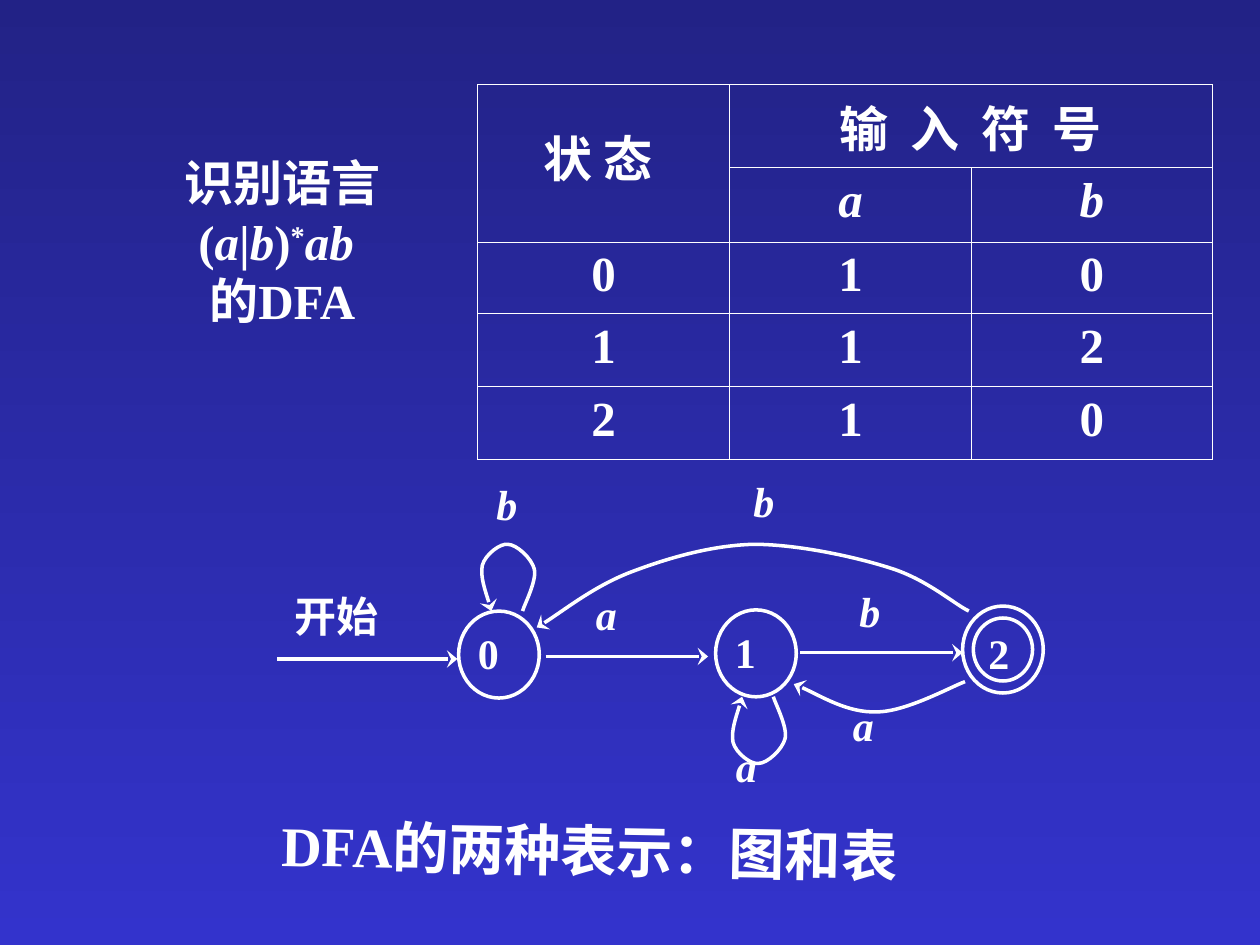
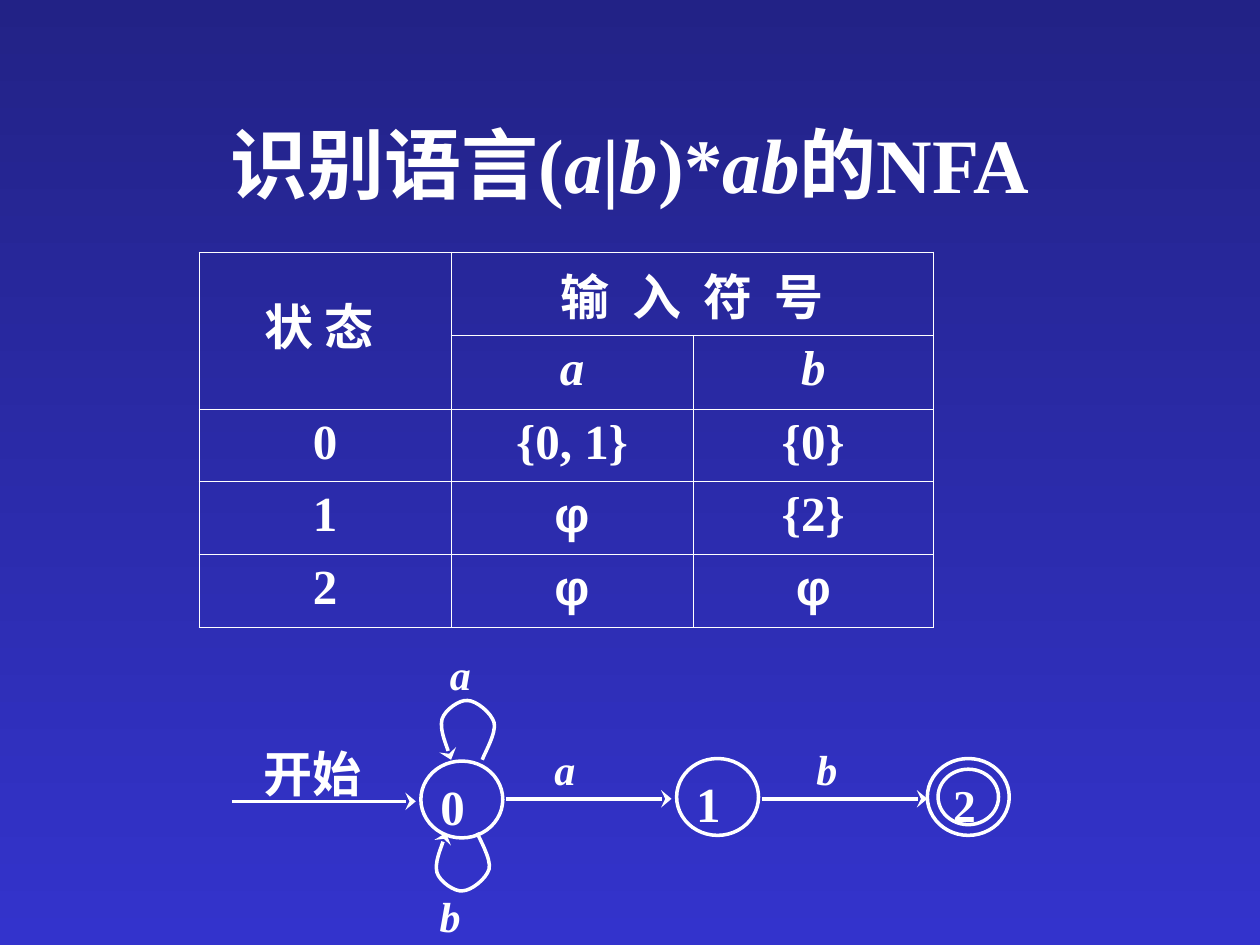
from lxml.etree import SubElement
from pptx import Presentation
from pptx.dml.color import RGBColor
from pptx.enum.shapes import MSO_CONNECTOR, MSO_SHAPE
from pptx.enum.text import MSO_ANCHOR as ANCHOR, PP_ALIGN as ALIGN
from pptx.oxml.ns import qn
from pptx.util import Inches, Pt

COLORS = {"sky": "222286", "ground": "3333CC", "ink": "FFFFFF"}
LATIN, CHINESE = "Times New Roman", "Noto Sans CJK SC"
LABEL_INSETS = (0.06, 0.03, 0.06, 0.03)
STATE_INSETS = (0.06, 0.03, 0.02, 0.05)
FINAL_INSETS = (0.05, 0, 0.01, 0)
COLUMN_WIDTHS = (2, 1.92, 1.91)
ROW_HEIGHTS = (0.66, 0.59, 0.57, 0.58, 0.58)

# Self-loop above a state, as fractions of its box: a start point, then
# Bézier triples (two handles and an end point).
LOOP = [(0.75, 1), (0.78, 0.91), (1, 0.56), (0.96, 0.39),
        (0.91, 0.22), (0.64, 0.02), (0.49, 0.02),
        (0.36, 0), (0.09, 0.17), (0.04, 0.33),
        (0, 0.5), (0.16, 0.87), (0.2, 1)]
LOOP_WIDTH = 0.45


def color(name):
    return RGBColor.from_string(COLORS[name])


def format_run(run, size, style="", font=LATIN):
    run.font.size = Pt(size)
    run.font.bold = True
    run.font.italic = style == "italic"
    run.font.color.rgb = color("ink")
    run.font.name = font
    properties = run.font._element
    SubElement(properties, qn("a:ea")).set("typeface", CHINESE)
    if style == "superscript":
        properties.set("baseline", "30000")


def write_runs(paragraph, pieces, size):
    """Fill a paragraph from (text, style) pairs."""
    paragraph.alignment = ALIGN.CENTER
    for text, style in pieces:
        run = paragraph.add_run()
        run.text = text
        format_run(run, size, style)


def write_text(frame, text, size, style="", font=LATIN, align=ALIGN.LEFT):
    frame.text = text
    paragraph = frame.paragraphs[0]
    paragraph.alignment = align
    format_run(paragraph.runs[0], size, style, font)


def set_frame(frame, insets, anchor=ANCHOR.TOP):
    frame.word_wrap = True
    frame.vertical_anchor = anchor
    (frame.margin_left, frame.margin_top,
     frame.margin_right, frame.margin_bottom) = map(Inches, insets)


def add_text_box(shapes, box, insets=LABEL_INSETS, anchor=ANCHOR.TOP):
    text_box = shapes.add_textbox(*map(Inches, box))
    set_frame(text_box.text_frame, insets, anchor)
    return text_box


def draw_outline(shape, arrow=False):
    shape.line.color.rgb = color("ink")
    shape.line.width = Pt(2)
    if arrow:
        SubElement(shape.line._ln, qn("a:tailEnd"), type="stealth", w="lg")


def bend_segments(shape):
    """Turn each three straight segments of an outline into one Bézier curve."""
    segments = list(shape._element.iter(qn("a:lnTo")))
    outline = segments[0].getparent()
    for first in range(0, len(segments), 3):
        curve = SubElement(outline, qn("a:cubicBezTo"))
        for segment in segments[first:first + 3]:
            curve.append(segment[0])
            outline.remove(segment)


class StateDiagram:
    """Draws an automaton in one group, relative to its top left corner."""

    def __init__(self, slide, left, top, state_size, text_size):
        self.shapes = slide.shapes.add_group_shape().shapes
        self.left, self.top = left, top
        self.state_size, self.text_size = state_size, text_size

    def at(self, x, y):
        return Inches(self.left + x), Inches(self.top + y)

    def circle(self, x, y, size, text="", text_size=24, insets=STATE_INSETS):
        shape = self.shapes.add_shape(MSO_SHAPE.OVAL, *self.at(x, y),
                                      *map(Inches, size))
        shape.shadow.inherit = False
        shape.fill.background()
        draw_outline(shape)
        if text:
            set_frame(shape.text_frame, insets)
            write_text(shape.text_frame, text, text_size)

    def state(self, x, y, name):
        self.circle(x, y, self.state_size, name, self.text_size)

    def final_state(self, x, y, name, inner_size, text_size):
        self.circle(x, y, self.state_size)
        width, height = inner_size
        self.circle(x + (self.state_size[0] - width) / 2,
                    y + (self.state_size[1] - height) / 2,
                    inner_size, name, text_size, FINAL_INSETS)

    def arrow(self, x, y, length):
        connector = self.shapes.add_connector(
            MSO_CONNECTOR.STRAIGHT, *self.at(x, y), *self.at(x + length, y))
        SubElement(connector._element.spPr, qn("a:effectLst"))
        draw_outline(connector, arrow=True)

    def curve(self, points):
        start, *rest = [self.at(*point) for point in points]
        builder = self.shapes.build_freeform(*start)
        builder.add_line_segments(rest, close=False)
        shape = builder.convert_to_shape()
        bend_segments(shape)
        shape.shadow.inherit = False
        shape.fill.background()
        draw_outline(shape, arrow=True)

    def loop(self, x, y, height, below=False):
        self.curve([(x + LOOP_WIDTH * u, y + height * (1 - v if below else v))
                    for u, v in LOOP])

    def symbol(self, x, y, text):
        text_box = add_text_box(
            self.shapes, (self.left + x, self.top + y, 0.52, 0.52))
        write_text(text_box.text_frame, text, 24, "italic")

    def start(self, x, y, arrow_y, arrow_length):
        text_box = add_text_box(
            self.shapes, (self.left + x, self.top + y, 1.05, 0.6))
        write_text(text_box.text_frame, "开始", self.text_size)
        self.arrow(0, arrow_y, arrow_length)


def draw_dfa(slide, left, top):
    diagram = StateDiagram(slide, left, top, (0.64, 0.69), 24)
    diagram.start(0.08, 0.92, 1.49, 1.43)
    diagram.state(1.44, 1.11, "0")
    diagram.state(3.48, 1.1, "1")
    diagram.final_state(5.44, 1.07, "2", (0.47, 0.5), 24)
    diagram.arrow(2.13, 1.47, 1.29)
    diagram.arrow(4.15, 1.44, 1.29)
    diagram.loop(1.61, 0.57, 0.54)
    diagram.loop(3.6, 1.79, 0.54, below=True)
    diagram.curve([(5.46, 1.67), (5.35, 1.71), (4.99, 1.91), (4.76, 1.91),
                   (4.53, 1.92), (4.24, 1.74), (4.1, 1.69)])
    diagram.curve([(5.49, 1.11), (5.38, 1.06), (5.16, 0.86), (4.87, 0.77),
                   (4.59, 0.68), (4.13, 0.58), (3.78, 0.58),
                   (3.44, 0.59), (3.1, 0.69), (2.81, 0.8),
                   (2.52, 0.91), (2.22, 1.15), (2.06, 1.24)])
    for x, y, text in [(2.47, 0.9, "a"), (3.58, 2.11, "a"), (4.51, 1.78, "a"),
                       (4.56, 0.88, "b"), (1.68, 0.03, "b"), (3.72, 0, "b")]:
        diagram.symbol(x, y, text)


def draw_nfa(slide, left, top):
    diagram = StateDiagram(slide, left, top, (0.65, 0.61), 28)
    diagram.start(0.19, 0.75, 1.24, 1.46)
    diagram.state(1.5, 0.92, "0")
    diagram.state(3.53, 0.9, "1")
    diagram.final_state(5.52, 0.9, "2", (0.48, 0.44), 26)
    for x in (2.18, 4.21):
        diagram.arrow(x, 1.22, 1.31)
    diagram.loop(1.65, 0.43, 0.48)
    diagram.loop(1.61, 1.49, 0.47, below=True)
    for x, y, text in [(2.5, 0.75, "a"), (4.58, 0.75, "b"),
                       (1.67, 0, "a"), (1.59, 1.92, "b")]:
        diagram.symbol(x, y, text)


def draw_cell_borders(cell):
    properties = cell._tc.get_or_add_tcPr()
    for side in ("lnL", "lnR", "lnT", "lnB"):
        border = SubElement(properties, qn(f"a:{side}"), w=str(Pt(0.45)))
        fill = SubElement(border, qn("a:solidFill"))
        SubElement(fill, qn("a:srgbClr"), val=COLORS["ink"])


def add_transition_table(slide, left, top, transitions):
    """Place a table of states; each row of transitions lists state, a, b."""
    frame = slide.shapes.add_table(
        len(ROW_HEIGHTS), len(COLUMN_WIDTHS), Inches(left), Inches(top),
        Inches(sum(COLUMN_WIDTHS)), Inches(sum(ROW_HEIGHTS)))
    table = frame.table
    table.first_row = table.horz_banding = False
    for column, width in zip(table.columns, COLUMN_WIDTHS):
        column.width = Inches(width)
    for row, height in zip(table.rows, ROW_HEIGHTS):
        row.height = Inches(height)
    for cell in table.iter_cells():
        draw_cell_borders(cell)
        cell.fill.background()
    table.cell(0, 0).merge(table.cell(1, 0))
    table.cell(0, 1).merge(table.cell(0, 2))

    rows = [("", "输 入 符 号", ""), ("", "a", "b"), *transitions]
    for row_index, values in enumerate(rows):
        for column_index, value in enumerate(values):
            if value:
                write_text(table.cell(row_index, column_index).text_frame,
                           value, 28, "italic" if row_index == 1 else "",
                           "Arial" if value == "φ" else LATIN, ALIGN.CENTER)
    heading = table.cell(0, 1).text_frame.paragraphs[0].runs[0]
    heading.font._element.set("spc", "320")

    state_box = add_text_box(slide.shapes, (left + 0.33, top + 0.25, 1.25, 0.67),
                             anchor=ANCHOR.MIDDLE)
    write_text(state_box.text_frame, "状 态", 28, align=ALIGN.CENTER)


def add_language_note(slide, left, top):
    note = add_text_box(slide.shapes, (left, top, 2.58, 1.83),
                        anchor=ANCHOR.MIDDLE)
    lines = [
        [("识别语言", "")],
        [("(", ""), ("a", "italic"), ("|", ""), ("b", "italic"), (")", ""),
         ("*", "superscript"), ("ab ", "italic")],
        [("的DFA", "")],
    ]
    frame = note.text_frame
    for index, pieces in enumerate(lines):
        paragraph = frame.add_paragraph() if index else frame.paragraphs[0]
        write_runs(paragraph, pieces, 28)


def add_caption(slide, left, top):
    caption = add_text_box(slide.shapes, (left, top, 5.22, 0.53),
                           (0, 0, 0, 0), ANCHOR.MIDDLE)
    caption.rotation = 1.1
    write_text(caption.text_frame, "DFA的两种表示：图和表", 32,
               align=ALIGN.CENTER)


def build_dfa_slide(presentation):
    slide = presentation.slides.add_slide(presentation.slide_layouts[6])
    draw_dfa(slide, 2.2, 3.74)
    add_language_note(slide, 0.95, 1)
    add_transition_table(slide, 3.79, 0.67, [
        ("0", "1", "0"), ("1", "1", "2"), ("2", "1", "0")])
    add_caption(slide, 2.07, 6.48)


def build_nfa_slide(presentation):
    slide = presentation.slides.add_slide(presentation.slide_layouts[5])
    title = slide.shapes.title
    title.left, title.top, title.width, title.height = map(
        Inches, (0.75, 0.67, 8.5, 1.25))
    title.text_frame.vertical_anchor = ANCHOR.MIDDLE
    write_runs(title.text_frame.paragraphs[0], [
        ("识别语言(", ""), ("a", "italic"), ("|", ""), ("b", "italic"),
        (")*", ""), ("ab", "italic"), ("的NFA", "")], 44)
    add_transition_table(slide, 1.58, 2, [
        ("0", "{0, 1}", "{0}"), ("1", "φ", "{2}"), ("2", "φ", "φ")])
    draw_nfa(slide, 1.84, 5.12)


def paint_background(master):
    fill = master.background.fill
    fill.gradient()
    fill.gradient_angle = 270
    for stop, name in zip(fill.gradient_stops, ("sky", "ground")):
        stop.color.rgb = color(name)


def main():
    presentation = Presentation()
    presentation.slide_width, presentation.slide_height = Inches(10), Inches(7.5)
    paint_background(presentation.slide_master)
    build_dfa_slide(presentation)
    build_nfa_slide(presentation)
    presentation.save("out.pptx")


if __name__ == "__main__":
    main()
